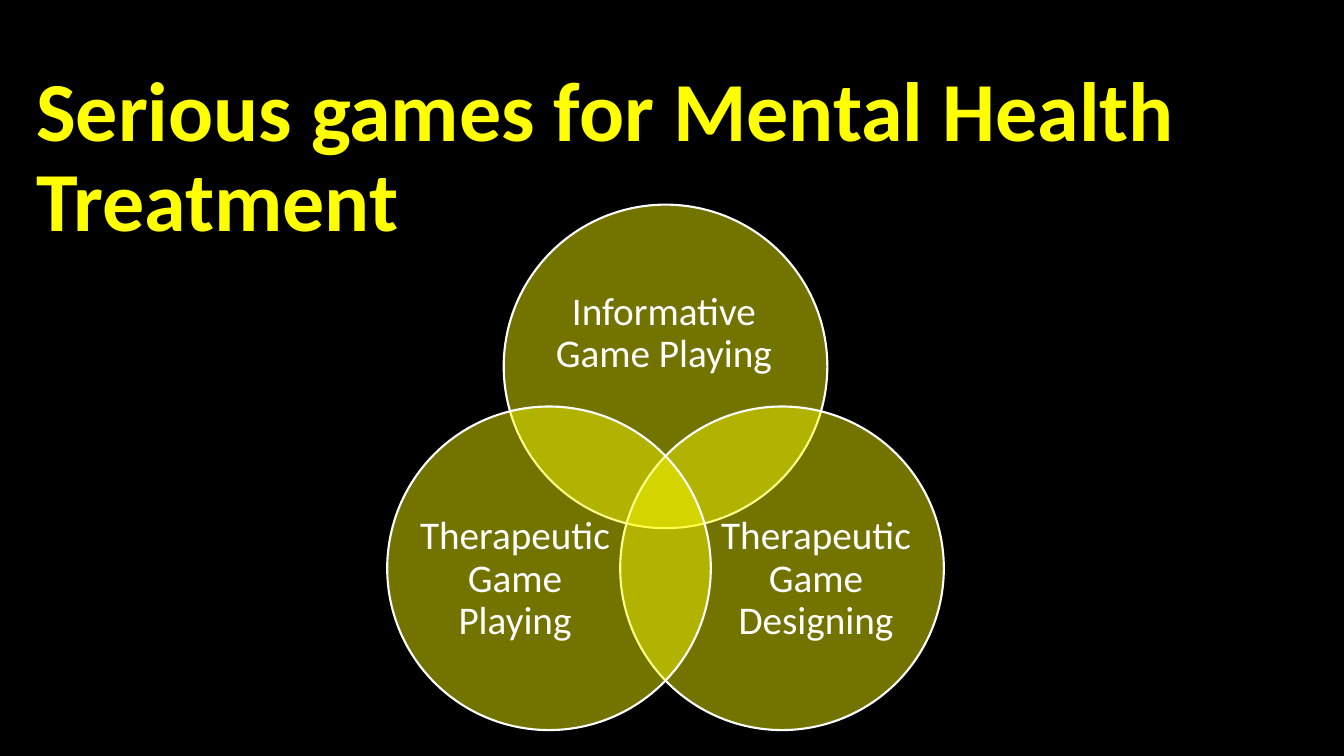
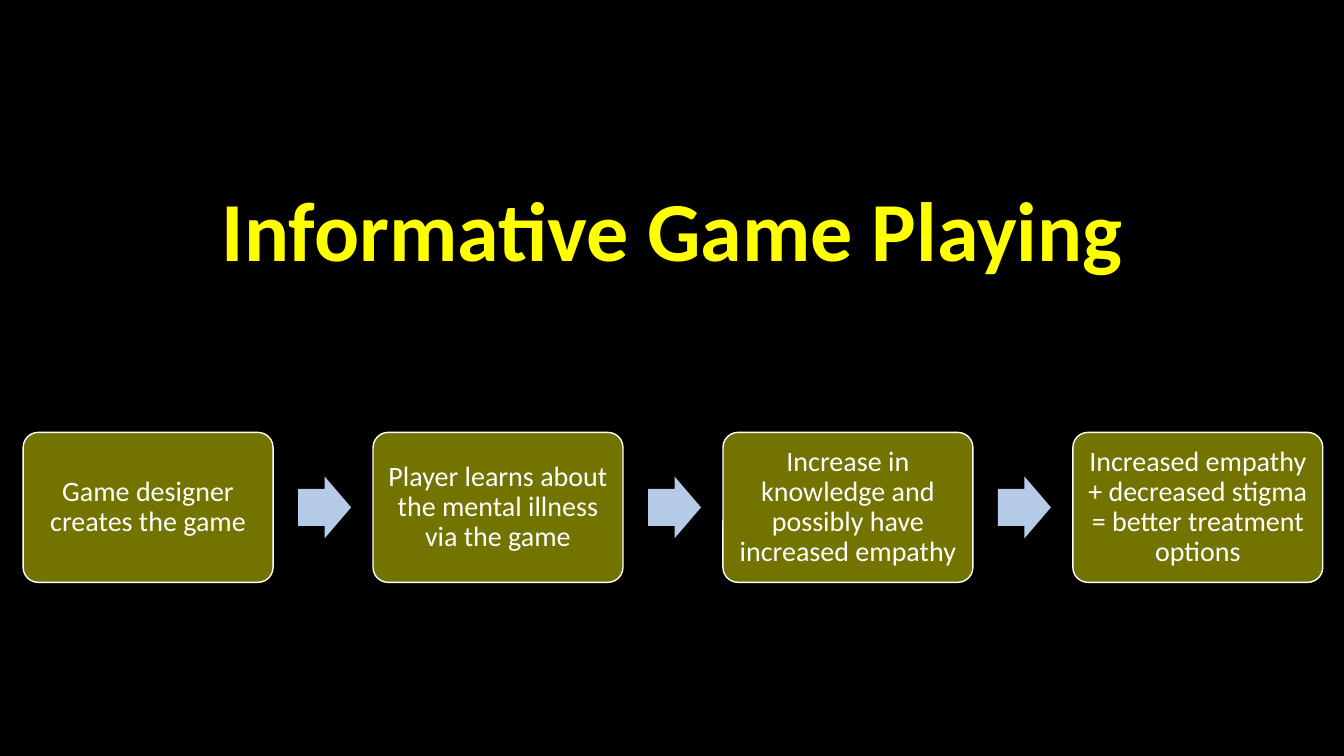
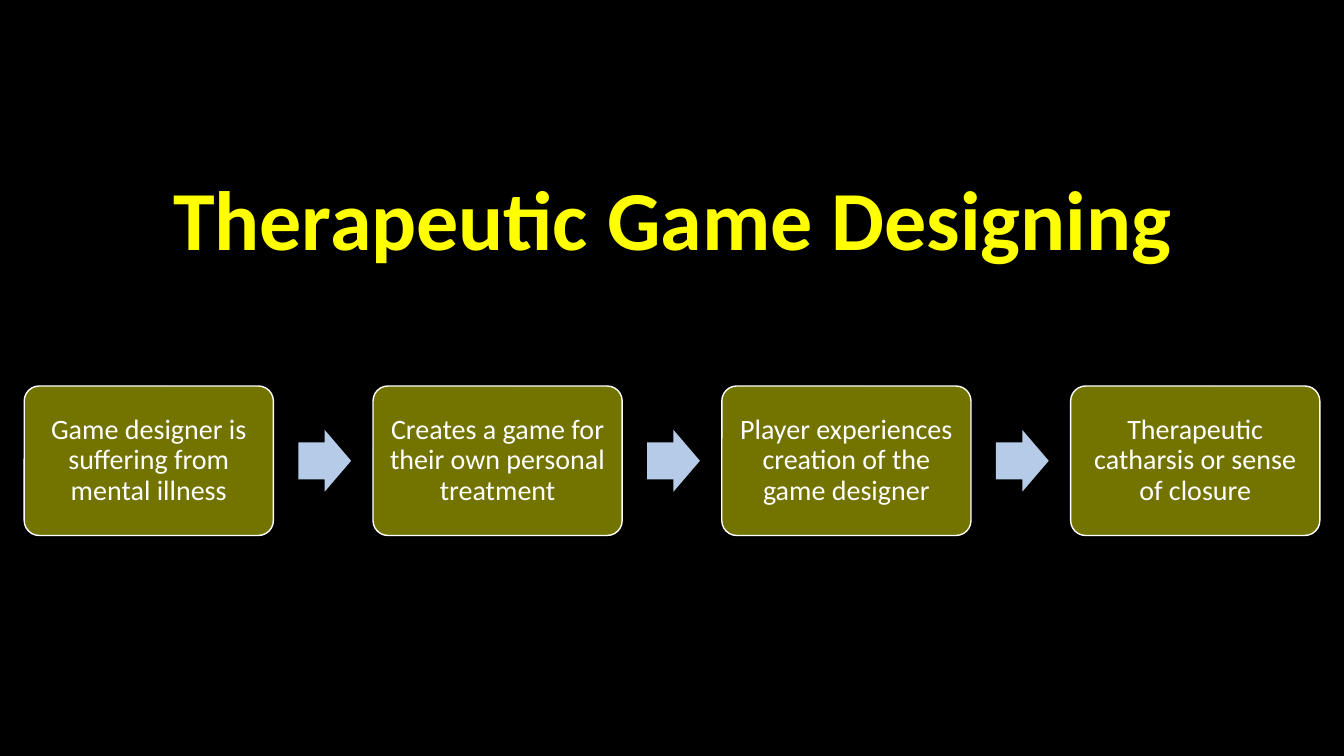
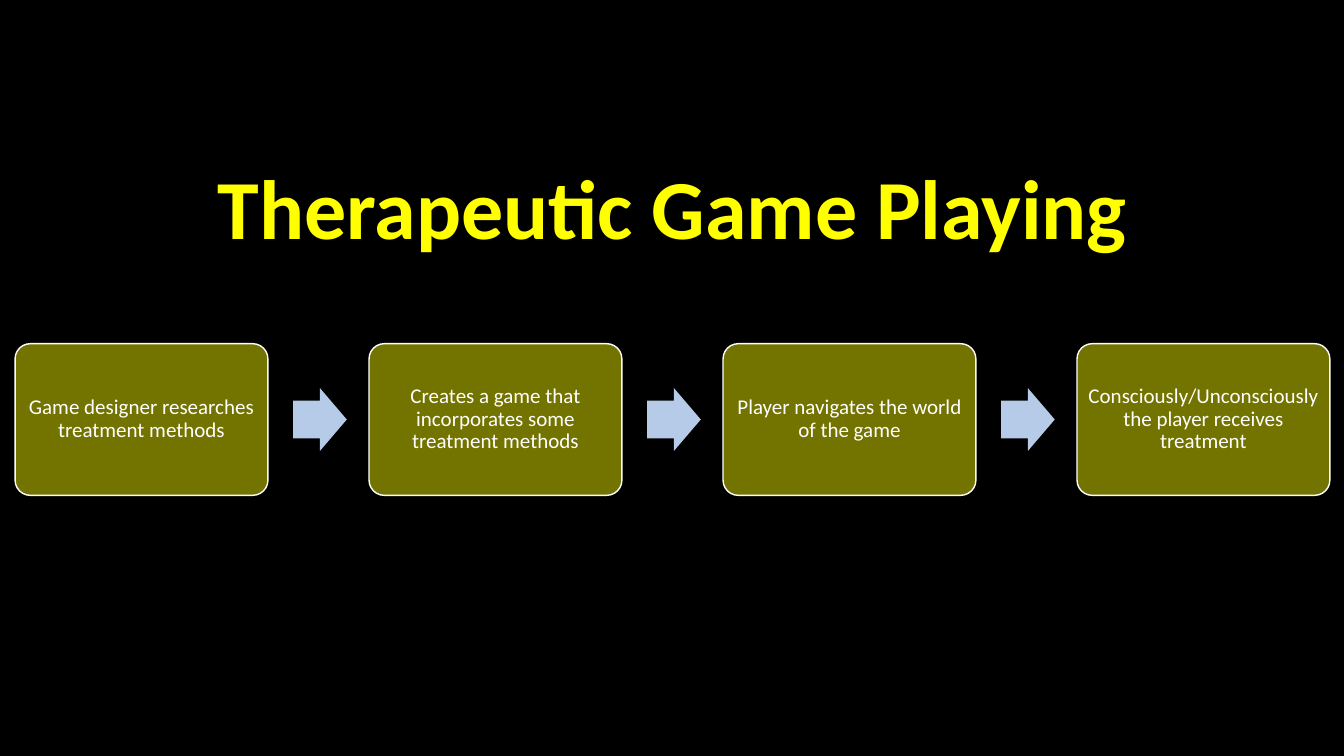
from lxml import etree
from pptx import Presentation
from pptx.dml.color import RGBColor
from pptx.enum import shapes, text
from pptx.oxml import ns
from pptx.util import Inches, Pt

COLORS = {"background": "000000", "accent": "FFFF00", "light": "FFFFFF", "arrow": "B5CBE7"}
FONT = "Calibri"
ACCENT_OPACITY = 45
CENTER = text.PP_ALIGN.CENTER

# Each circle: column and row on the Venn grid, label, then the label's
# left, top, width and height as fractions of the diameter.
VENN_CIRCLES = [
    (1, 0, "Informative Game Playing", (0.13, 0.175, 0.73, 0.45)),
    (2, 1, "Therapeutic Game Designing", (0.305, 0.26, 0.6, 0.55)),
    (0, 1, "Therapeutic Game Playing", (0.095, 0.26, 0.6, 0.55)),
]

# Each process slide: title, title top, flow box (left, top, width), text size, margin, steps.
PROCESSES = [
    ("Informative Game Playing", 1.6, (0.23, 4.29, 12.89), 20, 0.08, [
        "Game designer creates the game",
        "Player learns about the mental illness via the game",
        "Increase in knowledge and possibly have increased empathy",
        "Increased empathy + decreased stigma = better treatment options",
    ]),
    ("Therapeutic Game Designing", 1.49, (0.24, 3.83, 12.85), 20, 0.08, [
        "Game designer is suffering from mental illness",
        "Creates a game for their own personal treatment",
        "Player experiences creation of the game designer",
        "Therapeutic catharsis or sense of closure",
    ]),
    ("Therapeutic Game Playing", 1.38, (0.15, 3.41, 13.04), 15, 0.06, [
        "Game designer researches treatment methods",
        "Creates a game that incorporates some treatment methods",
        "Player navigates the world of the game",
        "Consciously/Unconsciously the player receives treatment",
    ]),
]


def color(name):
    return RGBColor.from_string(COLORS[name])


def write(shape, words, size, color_name="light", bold=False, align=CENTER, margins=(0, 0)):
    """Fill a shape with one vertically centred paragraph; margins are (sides, top and bottom)."""
    frame = shape.text_frame
    frame.word_wrap = True
    frame.vertical_anchor = text.MSO_ANCHOR.MIDDLE
    frame.margin_left = frame.margin_right = Inches(margins[0])
    frame.margin_top = frame.margin_bottom = Inches(margins[1])
    paragraph = frame.paragraphs[0]
    paragraph.alignment = align
    paragraph.line_spacing = 0.9
    run = paragraph.add_run()
    run.text = words
    run.font.name = FONT
    run.font.size = Pt(size)
    run.font.bold = bold
    run.font.color.rgb = color(color_name)


def add_text(slide, box, words, size, **style):
    write(slide.shapes.add_textbox(*map(Inches, box)), words, size, **style)


def add_filled(slide, kind, box, fill, line_width=None):
    """Add a preset shape; one with a line width gets a light outline."""
    shape = slide.shapes.add_shape(kind, *map(Inches, box))
    shape.shadow.inherit = False
    shape.fill.solid()
    shape.fill.fore_color.rgb = color(fill)
    if line_width:
        shape.line.color.rgb = color("light")
        shape.line.width = Pt(line_width)
    else:
        shape.line.fill.background()
    return shape


def add_translucent(slide, kind, box, line_width):
    shape = add_filled(slide, kind, box, "accent", line_width)
    fill_color = shape.fill._xPr.find(ns.qn("a:solidFill"))[0]
    etree.SubElement(fill_color, ns.qn("a:alpha"), val=str(ACCENT_OPACITY * 1000))
    return shape


def add_slide(presentation, title, title_box, align=CENTER):
    slide = presentation.slides.add_slide(presentation.slide_layouts[6])
    slide.background.fill.solid()
    slide.background.fill.fore_color.rgb = color("background")
    add_text(slide, title_box, title, 60, color_name="accent", bold=True,
             align=align, margins=(0.1, 0.05))
    return slide


def add_venn(slide, left, top, diameter):
    column_step, row_step = 0.36 * diameter, 0.624 * diameter
    for column, row, label, (x, y, width, height) in VENN_CIRCLES:
        circle_left = left + column * column_step
        circle_top = top + row * row_step
        add_translucent(slide, shapes.MSO_SHAPE.OVAL,
                        (circle_left, circle_top, diameter, diameter), 1.5)
        label_box = (circle_left + x * diameter, circle_top + y * diameter,
                     width * diameter, height * diameter)
        add_text(slide, label_box, label, 28)


def add_flow(slide, left, top, width, size, margin, steps):
    """Spread step boxes over the width, with an arrow in each gap of 0.4 box widths."""
    step_width = width / (1.4 * len(steps) - 0.4)
    step_height = 0.6 * step_width
    arrow_width, arrow_height = 0.212 * step_width, 0.248 * step_width
    for index, words in enumerate(steps):
        step_left = left + index * 1.4 * step_width
        if index:
            arrow_box = (step_left - 0.3 * step_width, top + (step_height - arrow_height) / 2,
                         arrow_width, arrow_height)
            arrow = add_filled(slide, shapes.MSO_SHAPE.RIGHT_ARROW, arrow_box, "arrow")
            arrow.adjustments[0] = 0.6
            arrow.adjustments[1] = 0.5
        step = add_translucent(slide, shapes.MSO_SHAPE.ROUNDED_RECTANGLE,
                               (step_left, top, step_width, step_height), 1)
        step.adjustments[0] = 0.1
        write(step, words, size, margins=(margin, margin))


def main():
    presentation = Presentation()
    presentation.slide_width = Inches(13.33)
    presentation.slide_height = Inches(7.5)

    overview = add_slide(presentation, "Serious games for Mental Health Treatment",
                         (0.26, 0.72, 13.05, 1.72), text.PP_ALIGN.LEFT)
    add_venn(overview, 3.84, 2.03, 3.21)

    for title, title_top, flow_box, size, margin, steps in PROCESSES:
        slide = add_slide(presentation, title, (0.92, title_top, 11.5, 1.45))
        add_flow(slide, *flow_box, size, margin, steps)

    presentation.save("out.pptx")


if __name__ == "__main__":
    main()
